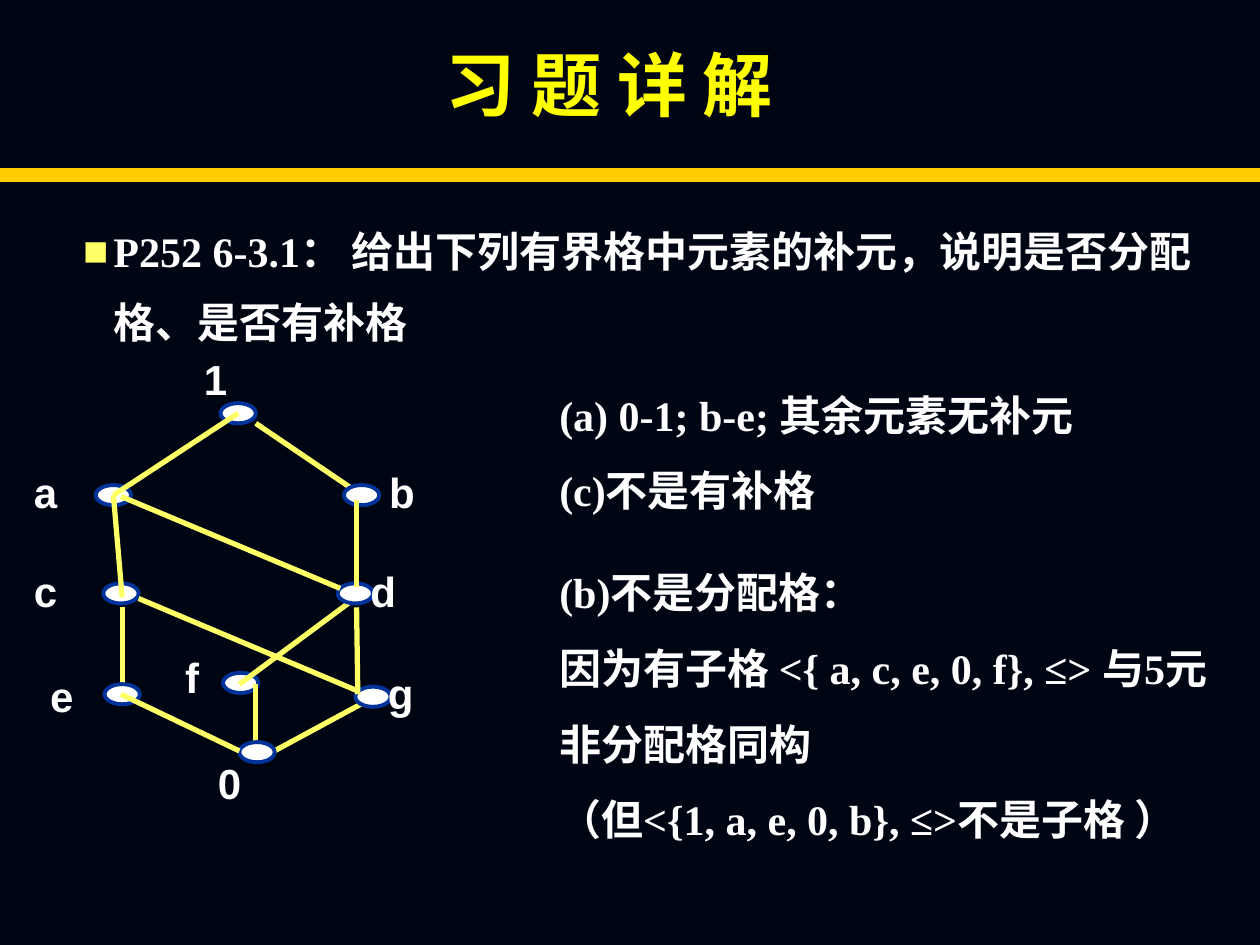
from dataclasses import dataclass

from lxml import etree
from pptx import Presentation
from pptx.dml.color import RGBColor
from pptx.enum.shapes import MSO_CONNECTOR, MSO_SHAPE
from pptx.enum.text import MSO_ANCHOR, MSO_AUTO_SIZE, PP_ALIGN
from pptx.oxml.ns import qn
from pptx.util import Inches, Pt

STRAIGHT = MSO_CONNECTOR.STRAIGHT
ELLIPSE = MSO_SHAPE.OVAL
TOP, MIDDLE = MSO_ANCHOR.TOP, MSO_ANCHOR.MIDDLE
NO_FIT = MSO_AUTO_SIZE.NONE
LEFT, CENTER = PP_ALIGN.LEFT, PP_ALIGN.CENTER


@dataclass(frozen=True)
class Theme:
    """Colours, fonts and sizes of the slide."""
    background: str = "000514"
    title: str = "FFFF00"
    rule: str = "FFCC00"
    text: str = "FFFFFF"
    accent: str = "FFFF66"
    node_line: str = "003399"
    sans: str = "Arial"
    serif: str = "Times New Roman"
    title_size: int = 40
    text_size: int = 24
    rule_width: float = 8
    edge_width: float = 3
    node_width: float = 2.25


THEME = Theme()
NODE_SIZE = (0.28, 0.16)
NODES = {
    "1": (1.75, 3.2), "a": (0.76, 3.85), "b": (2.73, 3.85),
    "c": (0.82, 4.63), "d": (2.68, 4.63), "e": (0.83, 5.43),
    "f": (1.77, 5.34), "g": (2.82, 5.45), "0": (1.9, 5.89),
}
EDGES = {
    "1a": (1.89, 3.28, 0.9, 3.93), "1b": (2.03, 3.36, 2.87, 3.93),
    "ac": (0.9, 3.93, 0.97, 4.74), "ad": (2.7, 4.67, 0.96, 3.94),
    "bd": (2.83, 3.97, 2.83, 4.66), "ce": (0.97, 4.82, 0.97, 5.51),
    "cg": (2.83, 5.48, 1.1, 4.75), "df": (2.83, 4.74, 1.9, 5.43),
    "dg": (2.83, 4.82, 2.84, 5.51), "e0": (1.9, 5.96, 0.96, 5.51),
    "f0": (2.03, 5.43, 2.03, 5.96), "g0": (3.01, 5.51, 2.03, 6.04),
}
STACKING = "f df f0 1 a c 1b 1a ac g0 b d bd ad g cg dg ce e 0 e0".split()
LABELS = {
    "1": (1.52, 2.76, 0.38), "a": (0.17, 3.65, 0.38), "b": (2.99, 3.65, 0.4),
    "c": (0.17, 4.44, 0.38), "d": (2.84, 4.44, 0.65), "e": (0.3, 5.27, 0.38),
    "f": (1.37, 5.12, 0.31), "g": (2.98, 5.25, 0.65), "0": (1.63, 5.96, 0.38),
}


def color(value):
    """Turn a hex value into a colour."""
    return RGBColor.from_string(value)


def place(box, left, top, width, height):
    """Move and size a box given in inches."""
    box.left, box.top = Inches(left), Inches(top)
    box.width, box.height = Inches(width), Inches(height)


def write(box, lines, font, size=THEME.text_size, fill=THEME.text,
          spacing=1.0, align=LEFT, anchor=TOP, wrap=True, bullet=None):
    """Fill a box with bold paragraphs of one format."""
    frame = box.text_frame
    frame.text = "\n".join(lines)
    frame.word_wrap = wrap
    frame.auto_size = NO_FIT
    frame.vertical_anchor = anchor
    for para in frame.paragraphs:
        para.alignment = align
        para.line_spacing = spacing
        para.space_before = Pt(0)
        if bullet:
            add_bullet(para, bullet)
        para.font.name = font
        para.font.size = Pt(size)
        para.font.bold = True
        para.font.color.rgb = color(fill)


def add_bullet(para, character):
    """Give a paragraph a coloured bullet with a hanging indent."""
    properties = para._p.get_or_add_pPr()
    properties.set("marL", str(Inches(0.24)))
    properties.set("indent", str(Inches(-0.24)))
    tint = etree.SubElement(properties, qn("a:buClr"))
    etree.SubElement(tint, qn("a:srgbClr"), val=THEME.accent)
    etree.SubElement(properties, qn("a:buFont"), typeface=THEME.sans)
    etree.SubElement(properties, qn("a:buChar"), char=character)


def add_line(shapes, ends, fill, width):
    """Draw a straight line without a shadow."""
    line = shapes.add_connector(STRAIGHT, *(Inches(value) for value in ends))
    line.line.color.rgb = color(fill)
    line.line.width = Pt(width)
    etree.SubElement(line._element.spPr, qn("a:effectLst"))


def add_node(shapes, left, top):
    """Draw one lattice element."""
    bounds = (Inches(value) for value in (left, top, *NODE_SIZE))
    node = shapes.add_shape(ELLIPSE, *bounds)
    node.shadow.inherit = False
    node.fill.solid()
    node.fill.fore_color.rgb = color(THEME.text)
    node.line.color.rgb = color(THEME.node_line)
    node.line.width = Pt(THEME.node_width)


def add_text(shapes, bounds, lines, font, **options):
    """Add a text box with formatted paragraphs."""
    box = shapes.add_textbox(*(Inches(value) for value in bounds))
    write(box, lines, font, **options)


def add_lattice(page):
    """Draw the Hasse diagram with its labels as one group."""
    shapes = page.shapes.add_group_shape().shapes
    for name in STACKING:
        if name in NODES:
            add_node(shapes, *NODES[name])
        else:
            add_line(shapes, EDGES[name], THEME.accent, THEME.edge_width)
    for name, (left, top, width) in LABELS.items():
        add_text(shapes, (left, top, width, 0.5), [name], THEME.sans, wrap=False)


def main():
    """Build and save the slide."""
    deck = Presentation()
    deck.slide_width, deck.slide_height = Inches(10), Inches(7.5)
    page = deck.slides.add_slide(deck.slide_layouts[1])
    page.background.fill.solid()
    page.background.fill.fore_color.rgb = color(THEME.background)

    title, body = page.shapes.title, page.placeholders[1]
    place(title, 1.33, 0.28, 7.01, 0.77)
    write(title, ["习 题 详 解"], THEME.sans, THEME.title_size, THEME.title,
          align=CENTER, anchor=MIDDLE)
    add_line(page.shapes, (0, 1.39, 10, 1.39), THEME.rule, THEME.rule_width)
    place(body, 0.56, 1.58, 9.06, 1.22)
    write(body, ["P252 6-3.1： 给出下列有界格中元素的补元，说明是否分配格、是否有补格"],
          THEME.serif, spacing=1.4, bullet="■")

    add_lattice(page)
    add_text(page.shapes, (4.34, 2.84, 5.55, 1.3),
             ["(a) 0-1; b-e; 其余元素无补元", "(c)不是有补格"],
             THEME.serif, spacing=1.5)
    add_text(page.shapes, (4.34, 4.25, 5.55, 3.1),
             ["(b)不是分配格：",
              "因为有子格 <{ a, c, e, 0, f}, ≤> 与5元非分配格同构",
              "（但<{1, a, e, 0, b}, ≤>不是子格 ）"],
             THEME.serif, spacing=1.5)
    deck.save("out.pptx")


if __name__ == "__main__":
    main()
